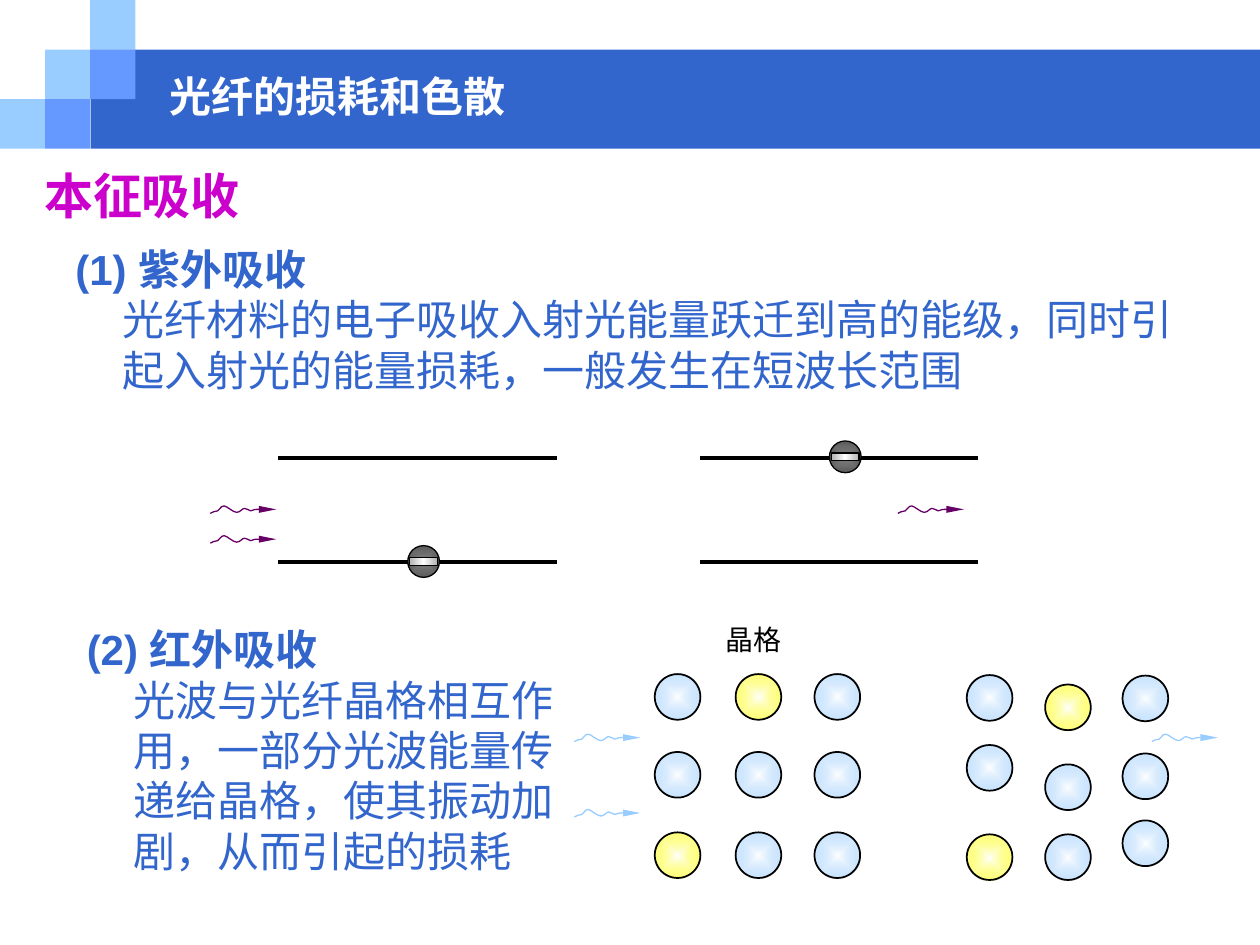
import pptx
import pptx.dml.color
import pptx.enum.shapes
import pptx.enum.text
import pptx.oxml
import pptx.oxml.ns
import pptx.util
from lxml import etree

Cm, Pt = pptx.util.Cm, pptx.util.Pt
RGB = pptx.dml.color.RGBColor
SHAPE = pptx.enum.shapes.MSO_SHAPE
ANCHOR = pptx.enum.text.MSO_ANCHOR
qn = pptx.oxml.ns.qn

BLUE = RGB(0x33, 0x66, 0xCC)
LIGHT_BLUE = RGB(0x99, 0xCC, 0xFF)
MID_BLUE = RGB(0x66, 0x99, 0xFF)
MAGENTA = RGB(0xCC, 0x00, 0xCC)
PURPLE = RGB(0x66, 0x00, 0x66)
YELLOW = RGB(0xFF, 0xFF, 0x00)
WHITE = RGB(0xFF, 0xFF, 0xFF)
BLACK = RGB(0x00, 0x00, 0x00)
GREY = RGB(0x80, 0x80, 0x80)
DARK_GREY = RGB(0x5C, 0x5C, 0x5C)
SILVER = RGB(0xB2, 0xB2, 0xB2)

TITLE = {"name": "Noto Sans CJK SC", "size": Pt(28), "bold": True}
HEADING = {"name": "Arial", "size": Pt(24), "bold": True}
BODY = {"name": "Arial", "size": Pt(24), "bold": False}
LABEL = {"name": "Arial", "size": Pt(16), "bold": False}

# Light wave, in cm from its top left: a start and Bezier segments
WAVE_START = (0, 0.15)
WAVE_CURVES = [
    ((0.03, 0.13), (0.1, 0.1), (0.15, 0.1)),
    ((0.2, 0.08), (0.2, 0), (0.28, 0)),
    ((0.33, 0), (0.46, 0.13), (0.53, 0.13)),
    ((0.61, 0.13), (0.64, 0.05), (0.69, 0.05)),
    ((0.74, 0.05), (0.79, 0.1), (0.81, 0.1)),
    ((0.86, 0.1), (0.86, 0.07), (0.94, 0.07)),
    ((1.02, 0.07), (1.24, 0.07), (1.33, 0.07)),
]

# Lattices: for each column its left edge and the tops of its atoms
ATOM_SIZE = 0.92
LATTICE_BEFORE = [(x, (13.59, 15.16, 16.78)) for x in (13.2, 14.83, 16.42)]
LATTICE_AFTER = [
    (19.49, (13.61, 15.02, 16.82)),
    (21.07, (13.8, 15.41, 16.82)),
    (22.63, (13.62, 15.19, 16.54)),
]
YELLOW_ATOMS = {(0, 2), (1, 0)}


def add_plain(shapes, kind, box, fill=None, outline=None, width=1):
    shape = shapes.add_shape(kind, *map(Cm, box))
    shape.shadow.inherit = False
    if fill is None:
        shape.fill.background()
    else:
        shape.fill.solid()
        shape.fill.fore_color.rgb = fill
    if outline is None:
        shape.line.fill.background()
    else:
        shape.line.color.rgb = outline
        shape.line.width = Pt(width)
    return shape


def set_gradient(shape, stops, radial=True):
    """Each stop is (percent, colour, opacity percent)."""
    stop_xml = "".join(
        f'<a:gs pos="{pos * 1000}"><a:srgbClr val="{color}">'
        f'<a:alpha val="{alpha * 1000}"/></a:srgbClr></a:gs>'
        for pos, color, alpha in stops)
    if radial:
        direction = ('<a:path path="shape"><a:fillToRect l="50000" t="50000" '
                     'r="50000" b="50000"/></a:path>')
    else:
        direction = '<a:lin ang="0" scaled="1"/>'
    gradient = pptx.oxml.parse_xml(
        f'<a:gradFill rotWithShape="1" xmlns:a="{pptx.oxml.ns.nsuri("a")}">'
        f'<a:gsLst>{stop_xml}</a:gsLst>{direction}</a:gradFill>')
    props = shape._element.spPr
    props.replace(props.find(qn("a:noFill")), gradient)


def add_text(slide, box, paragraphs, color, wrap=True, **frame_format):
    """Each paragraph is (text, font format, left indent, exact line height)."""
    frame = slide.shapes.add_textbox(*map(Cm, box)).text_frame
    frame.word_wrap = wrap
    for key, value in frame_format.items():
        setattr(frame, key, value)
    for i, (text, font_format, indent, height) in enumerate(paragraphs):
        paragraph = frame.add_paragraph() if i else frame.paragraphs[0]
        if indent:
            paragraph._p.get_or_add_pPr().set("marL", str(Cm(indent)))
        if height:
            paragraph.line_spacing = Pt(height)
        run = paragraph.add_run()
        run.text = text
        for key, value in font_format.items():
            setattr(run.font, key, value)
        run.font.color.rgb = color
        east_asian = etree.SubElement(run._r.get_or_add_rPr(), qn("a:ea"))
        east_asian.set("typeface", font_format["name"])


def add_section(slide, box, heading, lines):
    paragraphs = [(heading, HEADING, 0, 28.8)]
    paragraphs += [(line, BODY, 0.95, 28.8) for line in lines]
    add_text(slide, box, paragraphs, BLUE)


def add_level(slide, left, right, y):
    level = slide.shapes.add_connector(
        pptx.enum.shapes.MSO_CONNECTOR.STRAIGHT, *map(Cm, (left, y, right, y)))
    level.line.color.rgb = BLACK
    level.line.width = Pt(2.25)
    etree.SubElement(level._element.spPr, qn("a:effectLst"))


def add_electron(slide, left, top):
    parts = slide.shapes.add_group_shape().shapes
    ball = add_plain(parts, SHAPE.OVAL, (left, top, 0.64, 0.64), None, BLACK, 0.75)
    set_gradient(ball, [(0, GREY, 100), (100, DARK_GREY, 100)])
    minus = add_plain(parts, SHAPE.RECTANGLE, (left + 0.04, top + 0.24, 0.56, 0.16),
                      None, BLACK, 0.75)
    set_gradient(minus, [(0, SILVER, 100), (50, WHITE, 100), (100, SILVER, 100)],
                 radial=False)


def add_wave(slide, left, top, color):
    ends = [WAVE_START] + [curve[-1] for curve in WAVE_CURVES]
    outline = [(Cm(left + x), Cm(top + y)) for x, y in ends]
    builder = slide.shapes.build_freeform(*outline[0])
    builder.add_line_segments(outline[1:], close=False)
    wave = builder.convert_to_shape()
    # Bend each straight segment into its Bezier curve
    segments = list(wave._element.iter(qn("a:lnTo")))
    for segment, curve in zip(segments, WAVE_CURVES):
        bend = etree.Element(qn("a:cubicBezTo"))
        for x, y in curve:
            point = etree.SubElement(bend, qn("a:pt"))
            point.set("x", str(Cm(x)))
            point.set("y", str(Cm(y)))
        segment.getparent().replace(segment, bend)
    wave.shadow.inherit = False
    wave.fill.background()
    wave.line.color.rgb = color
    wave.line.width = Pt(0.75)
    arrowhead = etree.SubElement(wave.line._get_or_add_ln(), qn("a:tailEnd"))
    for key, value in {"type": "triangle", "w": "sm", "len": "lg"}.items():
        arrowhead.set(key, value)


def add_lattice(slide, columns):
    for col, (left, tops) in enumerate(columns):
        for row, top in enumerate(tops):
            atom = add_plain(slide.shapes, SHAPE.OVAL,
                             (left, top, ATOM_SIZE, ATOM_SIZE), None, BLACK)
            color = YELLOW if (col, row) in YELLOW_ATOMS else LIGHT_BLUE
            set_gradient(atom, [(0, WHITE, 100), (100, color, 50)])


def add_banner(slide):
    add_plain(slide.shapes, SHAPE.RECTANGLE, (1.83, 1, 23.57, 2), BLUE)
    squares = {LIGHT_BLUE: [(0, 2), (1, 1), (2, 0)], MID_BLUE: [(2, 1), (1, 2)]}
    for color, cells in squares.items():
        for col, row in cells:
            add_plain(slide.shapes, SHAPE.RECTANGLE,
                      (col * 0.91, row, 0.91, 1), color)


def main():
    deck = pptx.Presentation()
    deck.slide_width, deck.slide_height = Cm(25.4), Cm(19.05)
    slide = deck.slides.add_slide(deck.slide_layouts[6])

    # Banner and title
    add_banner(slide)
    add_text(slide, (0.64, 3.3, 20.52, 1.35), [("本征吸收", TITLE, 0, 33.6)], MAGENTA,
             vertical_anchor=ANCHOR.BOTTOM)

    # Ultraviolet absorption: energy levels before and after
    add_section(slide, (1.27, 4.78, 22.89, 3.3), "(1) 紫外吸收", [
        "光纤材料的电子吸收入射光能量跃迁到高的能级，同时引",
        "起入射光的能量损耗，一般发生在短波长范围"])
    for left, right in ((5.61, 11.22), (14.11, 19.72)):
        for y in (9.24, 11.32):
            add_level(slide, left, right, y)
    add_electron(slide, 8.22, 11)
    add_electron(slide, 16.72, 8.89)
    for left, top in ((4.24, 10.2), (4.24, 10.8), (18.1, 10.2)):
        add_wave(slide, left, top, PURPLE)

    # Infrared absorption: lattice before and after
    add_lattice(slide, LATTICE_BEFORE)
    add_lattice(slide, LATTICE_AFTER)
    add_text(slide, (14.63, 12.55, 1.3, 0.69), [("晶格", LABEL, 0, None)], BLACK,
             wrap=False, margin_left=0, margin_top=0, margin_right=0, margin_bottom=0,
             auto_size=pptx.enum.text.MSO_AUTO_SIZE.SHAPE_TO_FIT_TEXT)
    for left, top in ((11.58, 14.8), (11.58, 16.32), (23.22, 14.8)):
        add_wave(slide, left, top, LIGHT_BLUE)
    add_section(slide, (1.5, 12.45, 22.89, 5.33), "(2) 红外吸收", [
        "光波与光纤晶格相互作", "用，一部分光波能量传",
        "递给晶格，使其振动加", "剧，从而引起的损耗"])

    # Chapter name on the banner
    add_text(slide, (3.17, 1.26, 17.07, 1.35),
             [("光纤的损耗和色散", HEADING, 0, None)], WHITE,
             vertical_anchor=ANCHOR.MIDDLE)

    deck.save("out.pptx")


if __name__ == "__main__":
    main()
